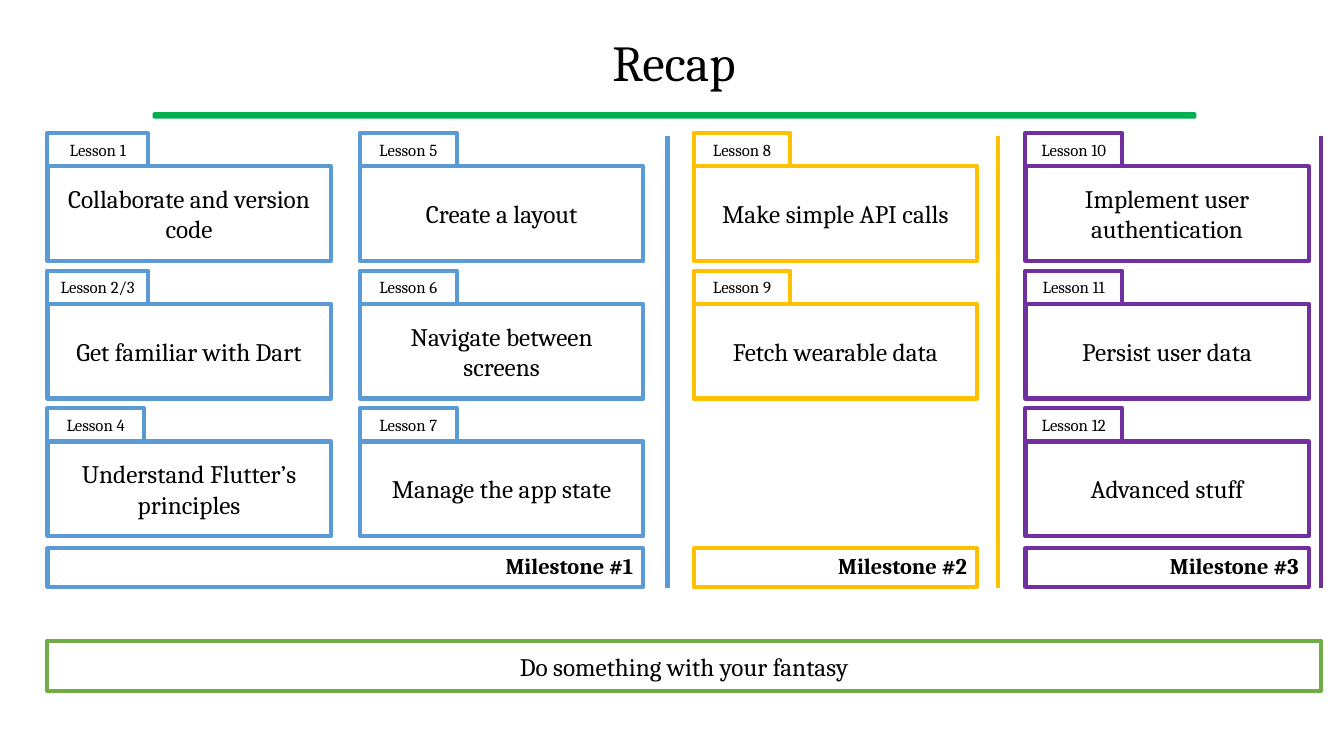
from dataclasses import dataclass

from lxml import etree
from pptx import Presentation
from pptx.dml.color import RGBColor
from pptx.enum.shapes import MSO_CONNECTOR, MSO_SHAPE
from pptx.enum.text import MSO_ANCHOR, PP_ALIGN
from pptx.oxml.ns import qn
from pptx.util import Inches, Pt

RECT, ROUNDED = MSO_SHAPE.RECTANGLE, MSO_SHAPE.ROUNDED_RECTANGLE
STRAIGHT = MSO_CONNECTOR.STRAIGHT
CENTER, RIGHT = PP_ALIGN.CENTER, PP_ALIGN.RIGHT
MIDDLE = MSO_ANCHOR.MIDDLE

# Content: each milestone holds columns of (lesson, topic)
TITLE = "Recap"
CLOSING = "Do something with your fantasy"
MILESTONES = [
    {"name": "Milestone #1", "color": "5B9BD5", "divider": 6.62, "columns": [
        (0.47, [("Lesson 1", "Collaborate and version code"),
                ("Lesson 2/3", "Get familiar with Dart"),
                ("Lesson 4", "Understand Flutter’s principles")]),
        (3.57, [("Lesson 5", "Create a layout"),
                ("Lesson 6", "Navigate between screens"),
                ("Lesson 7", "Manage the app state")])]},
    {"name": "Milestone #2", "color": "FFC000", "divider": 9.9, "columns": [
        (6.88, [("Lesson 8", "Make simple API calls"),
                ("Lesson 9", "Fetch wearable data")])]},
    {"name": "Milestone #3", "color": "7030A0", "divider": 13.1, "columns": [
        (10.17, [("Lesson 10", "Implement user authentication"),
                 ("Lesson 11", "Persist user data"),
                 ("Lesson 12", "Advanced stuff")])]},
]
WIDE_TABS = ("Lesson 1", "Lesson 2/3")


@dataclass
class Theme:
    font: str = "Cambria"
    text: str = "000000"
    paper: str = "FFFFFF"
    rule: str = "00B050"
    closing: str = "70AD47"
    title_size: int = 36
    card_size: int = 18
    milestone_size: int = 16
    tab_size: int = 12
    border: int = 3


# Grid, in inches
W, H = 13.33, 7.5
LEFT, FULL_W = 0.47, 12.63
ROW_TOP, ROW_STEP = 1.65, 1.365
CARD_W, CARD_H = 2.81, 0.94
TAB_W, WIDE_TAB_W, TAB_H = 0.96, 1, 0.33
BAR_TOP, BAR_H = 5.44, 0.38
DIVIDER_TOP, DIVIDER_END = 1.35, 5.83

theme = Theme()
prs = Presentation()
prs.slide_width, prs.slide_height = Inches(W), Inches(H)
s = prs.slides.add_slide(prs.slide_layouts[5])


def write(shape, text, size, align=CENTER, spacing=1.0, bold=False):
    tf = shape.text_frame
    tf.word_wrap, tf.vertical_anchor = True, MIDDLE
    p = tf.paragraphs[0]
    p.alignment, p.line_spacing = align, spacing
    r = p.add_run()
    r.text = text
    style = {"name": theme.font, "size": Pt(size), "bold": bold}
    for key, value in style.items():
        setattr(r.font, key, value)
    r.font.color.rgb = RGBColor.from_string(theme.text)


def box(x, y, w, h, color, kind=RECT, fill=theme.paper, border=theme.border):
    shape = s.shapes.add_shape(kind, Inches(x), Inches(y), Inches(w), Inches(h))
    shape.shadow.inherit = False
    shape.fill.solid()
    shape.fill.fore_color.rgb = RGBColor.from_string(fill)
    shape.line.color.rgb = RGBColor.from_string(color)
    shape.line.width = Pt(border)
    return shape


def divider(x, color):
    line = s.shapes.add_connector(STRAIGHT, Inches(x), Inches(DIVIDER_TOP),
                                  Inches(x), Inches(DIVIDER_END))
    line.line.color.rgb = RGBColor.from_string(color)
    line.line.width = Pt(theme.border)
    etree.SubElement(line._element.spPr, qn("a:effectLst"))


# Title and the rule below it
title = s.shapes.title
title.left, title.top = Inches(LEFT), Inches(0.18)
title.width, title.height = Inches(12.43), Inches(0.94)
write(title, TITLE, theme.title_size, spacing=0.9)
rule = box(1.52, 1.12, 10.34, 0.05, theme.rule, ROUNDED, theme.rule, 1)
rule.adjustments[0] = 0.26

# Milestones: lesson cards with tabs, a name bar and a divider
for milestone in MILESTONES:
    color, columns = milestone["color"], milestone["columns"]
    for x, lessons in columns:
        for row, (lesson, topic) in enumerate(lessons):
            y = ROW_TOP + row * ROW_STEP
            tab_w = WIDE_TAB_W if lesson in WIDE_TABS else TAB_W
            write(box(x, y, CARD_W, CARD_H, color), topic, theme.card_size)
            write(box(x, y - TAB_H, tab_w, TAB_H, color), lesson, theme.tab_size)
    start, end = columns[0][0], columns[-1][0] + CARD_W
    write(box(start, BAR_TOP, end - start, BAR_H, color), milestone["name"],
          theme.milestone_size, RIGHT, 0.9, True)
    divider(milestone["divider"], color)

# Closing bar
write(box(LEFT, 6.36, FULL_W, 0.5, theme.closing), CLOSING, theme.card_size)

prs.save("out.pptx")
